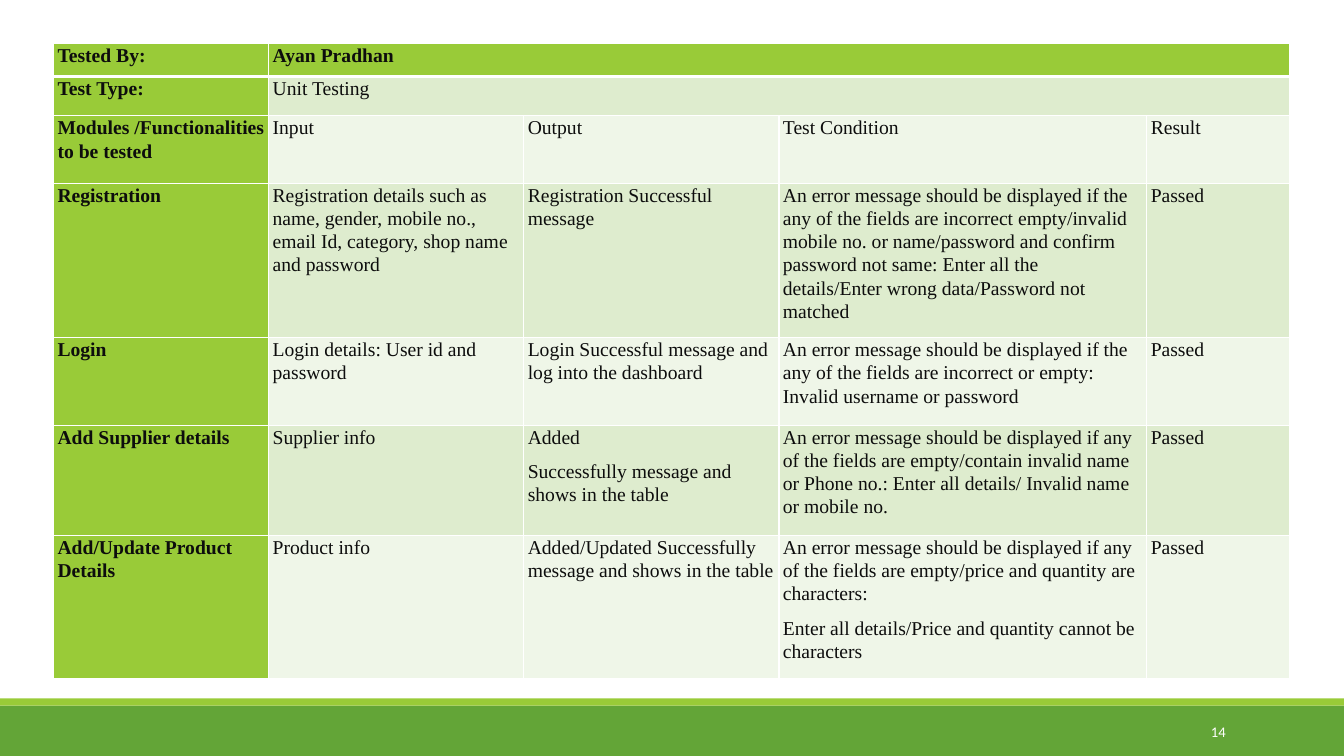
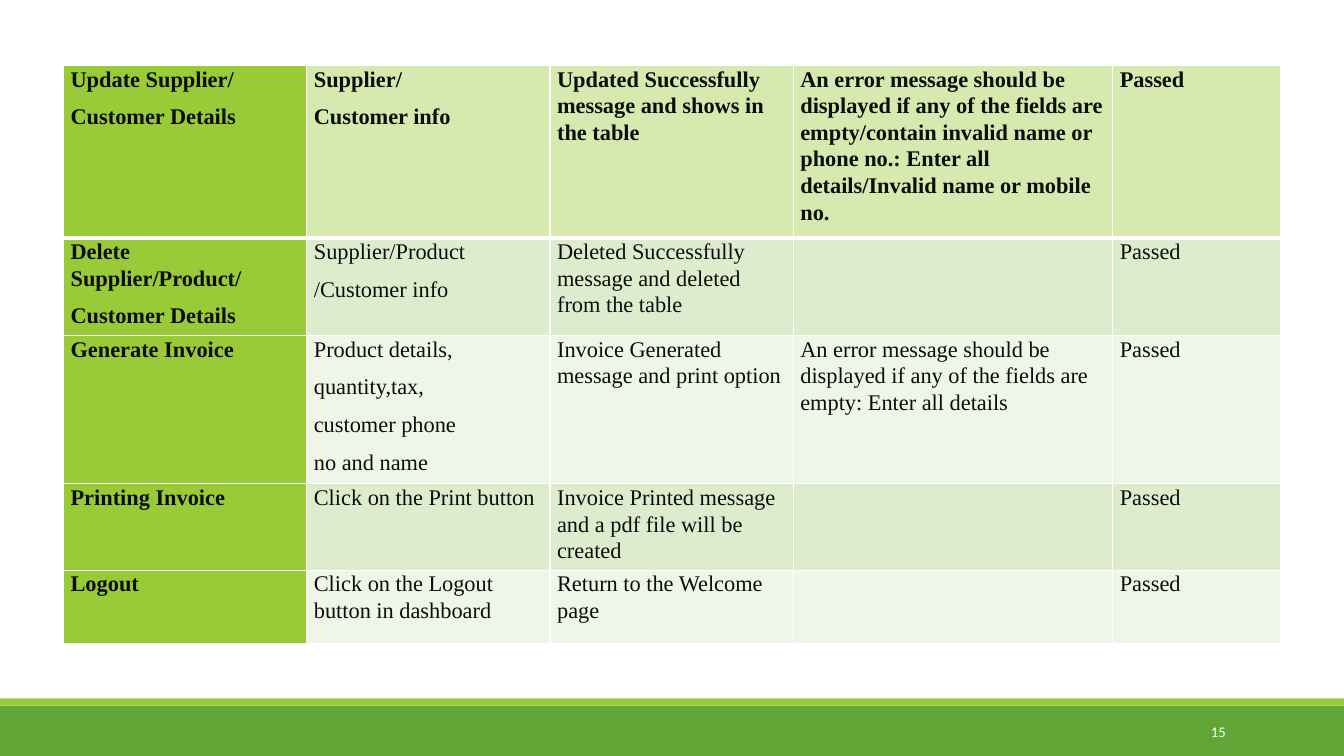
from itertools import accumulate
from lxml.etree import SubElement
from pptx import Presentation
from pptx.dml.color import RGBColor
from pptx.enum.shapes import MSO_SHAPE
from pptx.enum.text import MSO_ANCHOR, PP_ALIGN
from pptx.oxml.ns import qn
from pptx.util import Cm, Pt

WIDTH, HEIGHT = 33.87, 19.05
WHITE, INK = "FFFFFF", "0D0D0D"
GREEN, LIME = "63A537", "99CB38"
HEADER_TINT = "D6EAAF"
ROW_TINTS = ("EFF6E8", "DEECCE")
BANDS = ((17.78, 1.27, GREEN), (17.6, 0.18, LIME))
NUMBER_BOX = (27.51, 17.93, 3.63, 1.02)
CELL_SPACING = {"line_spacing": 1.07, "space_after": Pt(8)}

FIRST_TABLE = {
    "place": (1.35, 1.09),
    "columns": (5.42, 6.43, 6.43, 9.27, 3.61),
    "heights": (0.84, 0.99, 1.7, 3.89, 2.21, 2.77, 3.61),
    "size": 14,
    "inset": 0.1,
    "header_fill": LIME,
    "rows": [
        ["Tested By:", "Ayan Pradhan"],
        ["Test Type:", "Unit Testing"],
        ["Modules /Functionalities to be tested", "Input", "Output", "Test Condition", "Result"],
        ["Registration",
         "Registration details such as name, gender, mobile no., email Id, category, shop name and password",
         "Registration Successful message",
         "An error message should be displayed if the any of the fields are incorrect empty/invalid "
         "mobile no. or name/password and confirm password not same: Enter all the details/Enter wrong "
         "data/Password not matched",
         "Passed"],
        ["Login", "Login details: User id and password",
         "Login Successful message and log into the dashboard",
         "An error message should be displayed if the any of the fields are incorrect or empty: "
         "Invalid username or password",
         "Passed"],
        ["Add Supplier details", "Supplier info",
         "Added\nSuccessfully message and shows in the table",
         "An error message should be displayed if any of the fields are empty/contain invalid name "
         "or Phone no.: Enter all details/ Invalid name or mobile no.",
         "Passed"],
        ["Add/Update Product Details", "Product info",
         "Added/Updated Successfully message and shows in the table",
         "An error message should be displayed if any of the fields are empty/price and quantity are "
         "characters:\nEnter all details/Price and quantity cannot be characters",
         "Passed"],
    ],
}

SECOND_TABLE = {
    "place": (1.6, 1.65),
    "columns": (6.13, 6.13, 6.13, 8.05, 4.22),
    "heights": (4.24, 2.36, 3.66, 1.85, 1.85),
    "size": 16,
    "inset": 0.18,
    "header_fill": HEADER_TINT,
    "rows": [
        ["Update Supplier/\nCustomer Details", "Supplier/\nCustomer info",
         "Updated Successfully message and shows in the table",
         "An error message should be displayed if any of the fields are empty/contain invalid name "
         "or phone no.: Enter all details/Invalid name or mobile no.",
         "Passed"],
        ["Delete Supplier/Product/\nCustomer Details", "Supplier/Product\n/Customer info",
         "Deleted Successfully message and deleted from the table", "", "Passed"],
        ["Generate Invoice", "Product details,\nquantity,tax,\ncustomer phone\nno and name",
         "Invoice Generated message and print option",
         "An error message should be displayed if any of the fields are empty: Enter all details",
         "Passed"],
        ["Printing Invoice", "Click on the Print button",
         "Invoice Printed message and a pdf file will be created", "", "Passed"],
        ["Logout", "Click on the Logout button in dashboard", "Return to the Welcome page", "", "Passed"],
    ],
}


def color(value):
    return RGBColor.from_string(value)


def apply(target, values):
    for name, value in values.items():
        setattr(target, name, value)


def paint(target, value):
    target.fill.solid()
    target.fill.fore_color.rgb = color(value)


def write(frame, text, font, spacing):
    for index, line in enumerate(text.split("\n")):
        para = frame.paragraphs[0] if index == 0 else frame.add_paragraph()
        apply(para, spacing)
        span = para.add_run()
        span.text = line
        apply(span.font, font["format"])
        span.font.color.rgb = color(font["color"])


def border(cell, widths):
    properties = cell._tc.get_or_add_tcPr()
    for side, width in widths.items():
        line = SubElement(properties, qn(f"a:ln{side}"), w=str(Pt(width)))
        fill = SubElement(line, qn("a:solidFill"))
        SubElement(fill, qn("a:srgbClr"), val=WHITE)


def add_footer(page, number):
    for top, height, fill in BANDS:
        band = page.shapes.add_shape(MSO_SHAPE.RECTANGLE, 0, Cm(top), Cm(WIDTH), Cm(height))
        band.shadow.inherit = False
        band.line.fill.background()
        paint(band, fill)
    box = page.shapes.add_textbox(*map(Cm, NUMBER_BOX))
    apply(box.text_frame, {"word_wrap": True, "vertical_anchor": MSO_ANCHOR.MIDDLE})
    font = {"format": {"name": "Calibri", "size": Pt(10.5)}, "color": WHITE}
    write(box.text_frame, str(number), font, {"alignment": PP_ALIGN.RIGHT})


def format_cell(cell, text, row, column, layout):
    inset = Cm(layout["inset"])
    apply(cell, {"margin_left": inset, "margin_right": inset, "margin_top": 0, "margin_bottom": 0})
    border(cell, {"L": 1, "R": 1, "T": 3 if row == 1 else 1, "B": 3 if row == 0 else 1})
    if column == 0:
        paint(cell, LIME)
    else:
        paint(cell, layout["header_fill"] if row == 0 else ROW_TINTS[row % 2])
    if text:
        values = {"name": "Times New Roman", "size": Pt(layout["size"]), "bold": row == 0 or column == 0}
        write(cell.text_frame, text, {"format": values, "color": INK}, CELL_SPACING)


def add_test_table(page, layout):
    columns, heights = layout["columns"], layout["heights"]
    extent = [list(accumulate(lengths))[-1] for lengths in (columns, heights)]
    frame = page.shapes.add_table(len(heights), len(columns), *map(Cm, (*layout["place"], *extent)))
    table = frame.table
    apply(table, {"first_row": False, "horz_banding": False})
    for column, width in zip(table.columns, columns):
        column.width = Cm(width)
    for row, height in zip(table.rows, heights):
        row.height = Cm(height)
    for row, texts in enumerate(layout["rows"]):
        padded = texts + [""] * (len(columns) - len(texts))
        for column, text in enumerate(padded):
            format_cell(table.cell(row, column), text, row, column, layout)
        if len(texts) < len(columns):
            table.cell(row, len(texts) - 1).merge(table.cell(row, len(columns) - 1))


def main():
    deck = Presentation()
    apply(deck, {"slide_width": Cm(WIDTH), "slide_height": Cm(HEIGHT)})
    for number, layout in enumerate((FIRST_TABLE, SECOND_TABLE), start=14):
        page = deck.slides.add_slide(deck.slide_layouts[6])
        add_footer(page, number)
        add_test_table(page, layout)
    deck.save("out.pptx")


if __name__ == "__main__":
    main()
